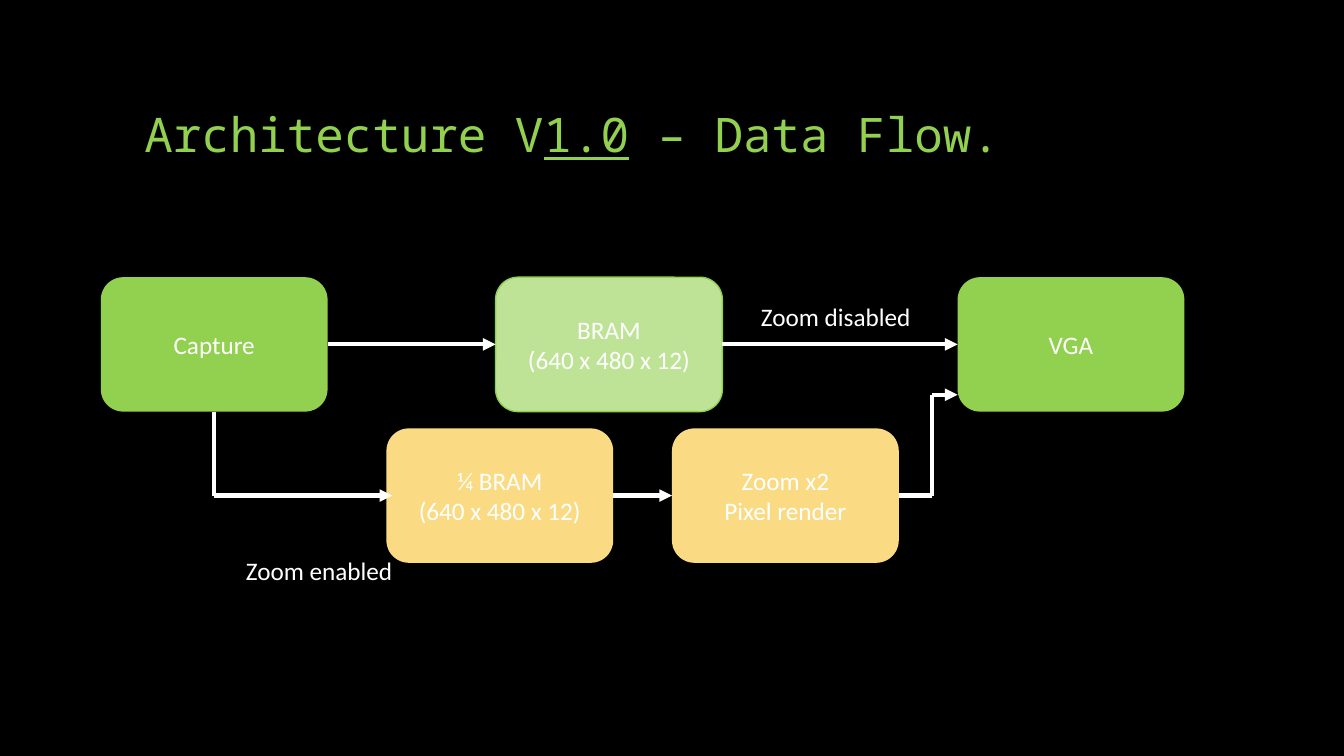
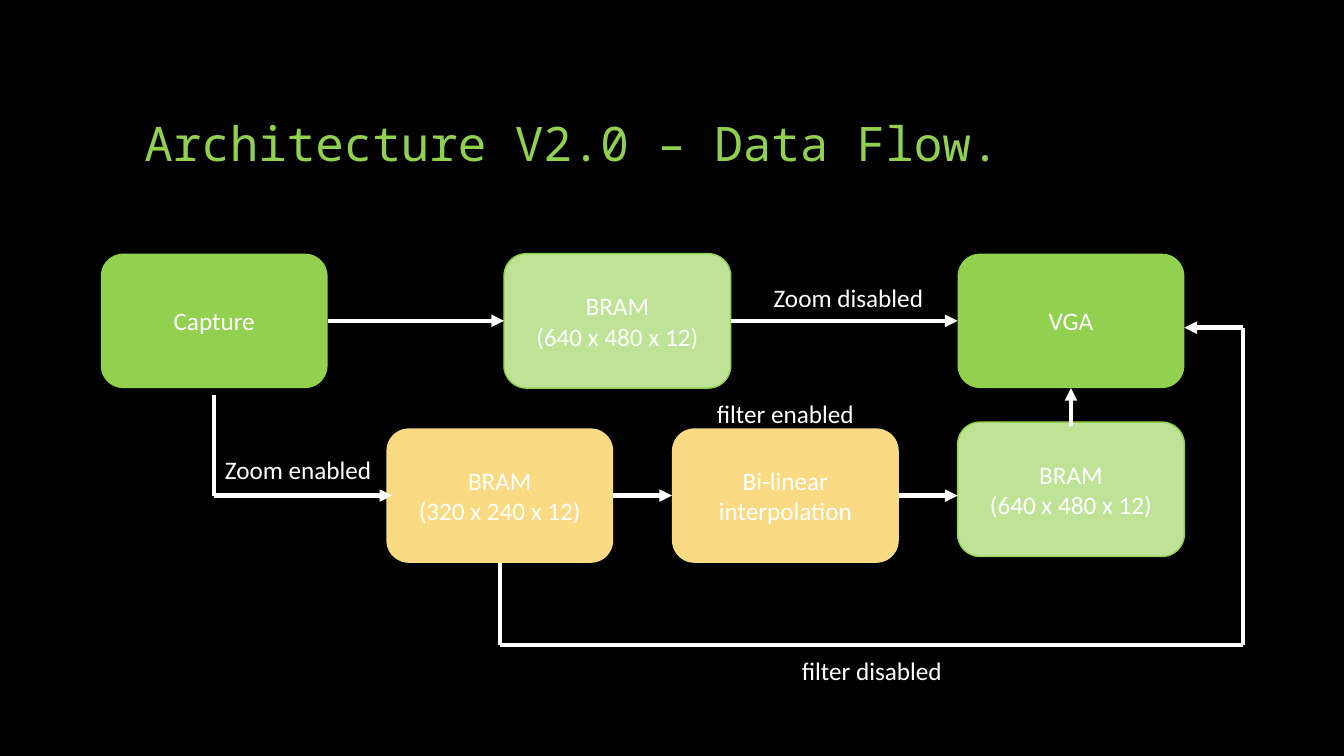
from dataclasses import dataclass
from itertools import pairwise

from lxml import etree
from pptx import Presentation
from pptx.dml.color import RGBColor
from pptx.enum.shapes import MSO_CONNECTOR, MSO_SHAPE
from pptx.enum.text import MSO_ANCHOR, PP_ALIGN
from pptx.oxml.ns import qn
from pptx.util import Inches, Pt

CENTER, LEFT = PP_ALIGN.CENTER, PP_ALIGN.LEFT
TOP, MIDDLE, BOTTOM = MSO_ANCHOR.TOP, MSO_ANCHOR.MIDDLE, MSO_ANCHOR.BOTTOM
ROUNDED, STRAIGHT = MSO_SHAPE.ROUNDED_RECTANGLE, MSO_CONNECTOR.STRAIGHT

COLORS = {
    "background": "000000",
    "text": "FFFFFF",
    "title": "92D050",
    "device": "92D050",
    "memory": "BEE396",
    "zoom": "FADB83",
}
BODY_FONT, TITLE_FONT = "Calibri", "Noto Sans Mono"
COLUMNS, ROWS = 160, 90
CELL = Inches(1) / 12
NODE_WIDTH, NODE_HEIGHT = 27, 16
LABEL_WIDTH, LABEL_HEIGHT = 30, 8.5
FRAME_SIZE = "16 680 2"


@dataclass
class Node:
    """One block of the data flow, placed on the grid."""
    left: float
    top: float
    lines: list
    kind: str

    @property
    def right(self):
        """Return the column of the right edge."""
        return self.left + NODE_WIDTH

    @property
    def bottom(self):
        """Return the row of the bottom edge."""
        return self.top + NODE_HEIGHT

    @property
    def center(self):
        """Return the column of the centre."""
        return self.left + NODE_WIDTH / 2

    @property
    def middle(self):
        """Return the row of the centre."""
        return self.top + NODE_HEIGHT / 2


def color(name):
    """Return the named colour."""
    return RGBColor.from_string(COLORS[name])


def grid(*cells):
    """Convert grid cells to lengths."""
    return [round(cell * CELL) for cell in cells]


def add_span(para, text, font=BODY_FONT, size=18, name="text", underline=None):
    """Add one styled run to a paragraph."""
    span = para.add_run()
    span.text = text
    span.font.name = font
    span.font.size = Pt(size)
    span.font.color.rgb = color(name)
    span.font.underline = underline


def add_text_box(page, left, top, width, height, anchor, align):
    """Add a wrapping text box and return its first paragraph."""
    frame = page.shapes.add_textbox(*grid(left, top, width, height)).text_frame
    frame.word_wrap = True
    frame.vertical_anchor = anchor
    para = frame.paragraphs[0]
    para.alignment = align
    return para


def add_title(page, top, spans):
    """Add the title from pairs of text and underline."""
    para = add_text_box(page, 16, top, COLUMNS - 36, 15, BOTTOM, LEFT)
    para.line_spacing = 0.9
    for text, underline in spans:
        add_span(para, text, TITLE_FONT, 34, "title", underline)


def add_label(page, center, top, text):
    """Add a route label centred on a column."""
    left = center - LABEL_WIDTH / 2
    para = add_text_box(page, left, top, LABEL_WIDTH, LABEL_HEIGHT, TOP, CENTER)
    add_span(para, text)


def add_node(page, node):
    """Draw one block with its centred lines."""
    box = page.shapes.add_shape(
        ROUNDED, *grid(node.left, node.top, NODE_WIDTH, NODE_HEIGHT))
    box.shadow.inherit = False
    box.fill.solid()
    box.fill.fore_color.rgb = color(node.kind)
    if node.kind == "memory":
        box.line.color.rgb = color("device")
        box.line.width = Pt(1)
    else:
        box.line.fill.background()
    frame = box.text_frame
    frame.word_wrap = True
    frame.vertical_anchor = MIDDLE
    for index, text in enumerate(node.lines):
        para = frame.add_paragraph() if index else frame.paragraphs[0]
        para.alignment = CENTER
        add_span(para, text)


def add_route(page, *points):
    """Join grid points with lines and end in an arrowhead."""
    for start, end in pairwise(points):
        connector = page.shapes.add_connector(STRAIGHT, *grid(*start, *end))
        connector.line.color.rgb = color("text")
        connector.line.width = Pt(3)
        properties = connector._element.spPr
        etree.SubElement(properties, qn("a:effectLst"))
    outline = properties.find(qn("a:ln"))
    etree.SubElement(outline, qn("a:tailEnd"), type="triangle")


def add_link(page, source, target):
    """Draw a level arrow between two blocks."""
    add_route(page, (source.right, source.middle), (target.left, source.middle))


def add_flow_page(deck, title_top, title, nodes, links, routes, labels):
    """Add one data flow slide."""
    page = deck.slides.add_slide(deck.slide_layouts[6])
    page.background.fill.solid()
    page.background.fill.fore_color.rgb = color("background")
    add_title(page, title_top, title)
    for node in nodes:
        add_node(page, node)
    for source, target in links:
        add_link(page, source, target)
    for route in routes:
        add_route(page, *route)
    for label in labels:
        add_label(page, *label)


def base_nodes(top, memory_left, quarter_lines, zoom_lines):
    """Return the five blocks that both versions share."""
    return [
        Node(12, top, ["Capture"], "device"),
        Node(memory_left, top, ["BRAM", "(640 x 480 x 12)"], "memory"),
        Node(114, top, ["VGA"], "device"),
        Node(46, 51, quarter_lines, "zoom"),
        Node(80, 51, zoom_lines, "zoom"),
    ]


def zoom_route(capture, quarter, gap=0):
    """Return the bent route from capture down to the zoom branch."""
    return [(capture.center, capture.bottom + gap),
            (capture.center, quarter.middle),
            (quarter.left + 0.7, quarter.middle)]


def add_version_one(deck):
    """Add the first architecture."""
    nodes = base_nodes(33, 59, ["¼ BRAM", "(640 x 480 x 12)"],
                       ["Zoom x2", "Pixel render"])
    capture, memory, screen, quarter, zoom = nodes
    bend, entry = screen.left - 3, screen.bottom - 2
    add_flow_page(
        deck, 5,
        [("Architecture V", None), ("1.0", True), (" – Data Flow.", None)],
        nodes,
        [(capture, memory), (memory, screen), (quarter, zoom)],
        [zoom_route(capture, quarter),
         [(zoom.right, zoom.middle), (bend, zoom.middle),
          (bend, entry), (screen.left, entry)]],
        [(99.5, 35.3, "Zoom disabled"), (38, 65.5, "Zoom enabled")])


def add_version_two(deck):
    """Add the second architecture."""
    nodes = base_nodes(30.2, 60, ["BRAM", "(320 x 240 x 12)"],
                       ["Bi-linear interpolation"])
    capture, memory, screen, quarter, zoom = nodes
    result = Node(screen.left, 50.25, memory.lines, "memory")
    floor, side, entry = 76.8, 148, screen.middle + 0.8
    add_flow_page(
        deck, 6, [("Architecture V2.0 – Data Flow.", None)],
        nodes + [result],
        [(capture, memory), (memory, screen), (quarter, zoom), (zoom, result)],
        [zoom_route(capture, quarter, 0.8),
         [(result.center, result.top + 0.5), (screen.center, screen.bottom)],
         [(quarter.center, quarter.bottom), (quarter.center, floor),
          (side, floor), (side, entry), (screen.right, entry)]],
        [(101, 33, "Zoom disabled"), (35.5, 53.5, "Zoom enabled"),
         (93.5, 46.8, "filter enabled"), (103.8, 77.4, "filter disabled")])


def main():
    """Build and save the deck."""
    deck = Presentation()
    deck.slide_width, deck.slide_height = grid(COLUMNS, ROWS)
    add_version_one(deck)
    add_version_two(deck)
    deck.save("out.pptx")


if __name__ == "__main__":
    main()
